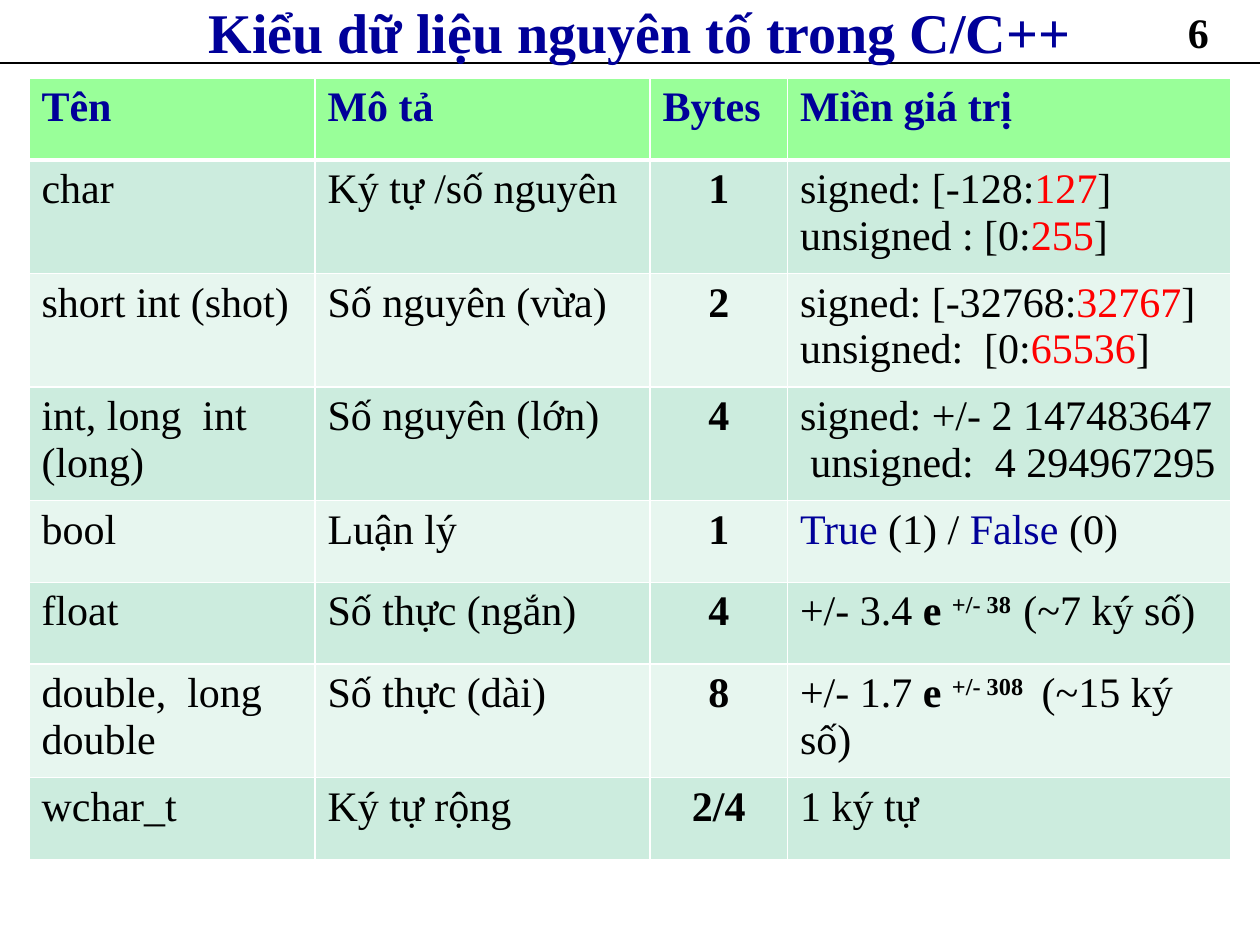
"""Build a slide with a table of the primitive data types of C/C++."""
import dataclasses

import lxml.etree
import pptx
import pptx.dml.color
import pptx.enum.shapes
import pptx.enum.text
import pptx.oxml.ns
import pptx.util

Inches = pptx.util.Inches
Align = pptx.enum.text.PP_ALIGN
Anchor = pptx.enum.text.MSO_ANCHOR


@dataclasses.dataclass(frozen=True)
class Theme:
    font: str = "Times New Roman"
    title: int = 32
    body: int = 24
    ink: str = "000000"
    navy: str = "000099"
    red: str = "FF0000"
    white: str = "FFFFFF"
    head: str = "99FF99"
    bands: tuple = ("CCECDE", "E7F6EF")
    rule: float = 0.75
    thin: int = 1
    thick: int = 3


THEME = Theme()
RED = {"color": THEME.red}
NAVY = {"color": THEME.navy}
BOLD = {"bold": True}
SUPER = {"bold": True, "base": 30}
TITLE = {"color": THEME.navy, "bold": True, "size": THEME.title}
HEAD = {"color": THEME.navy, "bold": True}


def limit(low, high, space):
    return [
        [(f"signed: [-{low}:", {}), (high[0], RED), ("]", {})],
        [(f"unsigned{space}[0:", {}), (high[1], RED), ("]", {})],
    ]


def real(base, power, note):
    return [[(f"+/- {base} ", {}), ("e ", BOLD), (power, SUPER), (note, {})]]


NAMES = ["Tên", "Mô tả", "Bytes", "Miền giá trị"]
TYPES = [
    ("char", "Ký tự /số nguyên", "1", limit("128", ("127", "255"), " : ")),
    ("short int (shot)", "Số nguyên (vừa)", "2",
     limit("32768", ("32767", "65536"), ":  ")),
    ("int, long  int (long)", "Số nguyên (lớn)", "4",
     [[("signed: +/- 2 147483647  unsigned:  4 294967295", {})]]),
    ("bool", "Luận lý", "1",
     [[("True", NAVY), (" (1) / ", {}), ("False", NAVY), (" (0)", {})]]),
    ("float", "Số thực (ngắn)", "4", real("3.4", "+/- 38  ", "(~7 ký số)")),
    ("double,  long double", "Số thực (dài)", "8",
     real("1.7", "+/- 308   ", "(~15 ký số)")),
    ("wchar_t", "Ký tự rộng", "2/4", [[("1 ký tự", {})]]),
]
WIDTHS = [2.27, 2.66, 1.09, 3.52]
HEIGHT = 0.65


class Deck:
    def __init__(self, theme, slide):
        self.theme = theme
        self.slide = slide

    def style(self, run, color=None, bold=False, size=None, base=None):
        font = run.font
        font.name = self.theme.font
        font.size = pptx.util.Pt(size or self.theme.body)
        font.bold = bold
        font.color.rgb = pptx.dml.color.RGBColor.from_string(color or self.theme.ink)
        if base:
            font._element.set("baseline", str(base * 1000))

    def fill(self, frame, lines, align=Align.LEFT):
        frame.text = "\n".join("" for line in lines)
        for para, line in zip(frame.paragraphs, lines):
            para.alignment = align
            for text, look in line:
                run = para.add_run()
                run.text = text
                self.style(run, **look)

    def text(self, box, text, look, align=Align.LEFT, anchor=Anchor.TOP):
        frame = self.slide.shapes.add_textbox(*map(Inches, box)).text_frame
        frame.word_wrap = True
        frame.vertical_anchor = anchor
        self.fill(frame, [[(text, look)]], align)

    def line(self, start, end):
        kind = pptx.enum.shapes.MSO_CONNECTOR.STRAIGHT
        line = self.slide.shapes.add_connector(kind, *map(Inches, start + end))
        line.line.color.rgb = pptx.dml.color.RGBColor.from_string(self.theme.ink)
        line.line.width = pptx.util.Pt(self.theme.rule)
        lxml.etree.SubElement(line._element.spPr, pptx.oxml.ns.qn("a:effectLst"))

    def edge(self, cell, top, base):
        qn = pptx.oxml.ns.qn
        props = cell._tc.get_or_add_tcPr()
        thin = self.theme.thin
        for side, width in zip("LRTB", (thin, thin, top, base)):
            line = lxml.etree.SubElement(
                props, qn(f"a:ln{side}"), w=str(pptx.util.Pt(width)))
            paint = lxml.etree.SubElement(line, qn("a:solidFill"))
            lxml.etree.SubElement(paint, qn("a:srgbClr"), val=self.theme.white)

    def cell(self, cell, lines, row, color, align):
        thin, thick = self.theme.thin, self.theme.thick
        self.edge(cell, thick if row == 1 else thin, thick if row == 0 else thin)
        cell.fill.solid()
        cell.fill.fore_color.rgb = pptx.dml.color.RGBColor.from_string(color)
        self.fill(cell.text_frame, lines, align)

    def table(self, left, top, widths, height, names, rows):
        count = len(rows) + 1
        box = (left, top, sum(widths), height * count)
        table = self.slide.shapes.add_table(
            count, len(widths), *map(Inches, box)).table
        for col, width in zip(table.columns, widths):
            col.width = Inches(width)
        for col, name in enumerate(names):
            self.cell(table.cell(0, col), [[(name, HEAD)]], 0,
                      self.theme.head, Align.LEFT)
        for row, (name, note, size, span) in enumerate(rows, 1):
            color = self.theme.bands[(row - 1) % 2]
            parts = [[[(name, {})]], [[(note, {})]], [[(size, BOLD)]], span]
            for col, lines in enumerate(parts):
                align = Align.CENTER if col == 2 else Align.LEFT
                self.cell(table.cell(row, col), lines, row, color, align)


def main():
    show = pptx.Presentation()
    show.slide_width, show.slide_height = Inches(10), Inches(7.5)
    deck = Deck(THEME, show.slides.add_slide(show.slide_layouts[6]))
    deck.line((0, 0.5), (10, 0.5))
    deck.text((9.33, 0, 0.67, 0.5), "6", BOLD)
    deck.text((0.83, 0, 8.5, 0.5), "Kiểu dữ liệu nguyên tố trong C/C++",
              TITLE, Align.CENTER, Anchor.MIDDLE)
    deck.table(0.23, 0.62, WIDTHS, HEIGHT, NAMES, TYPES)
    show.save("out.pptx")


if __name__ == "__main__":
    main()
